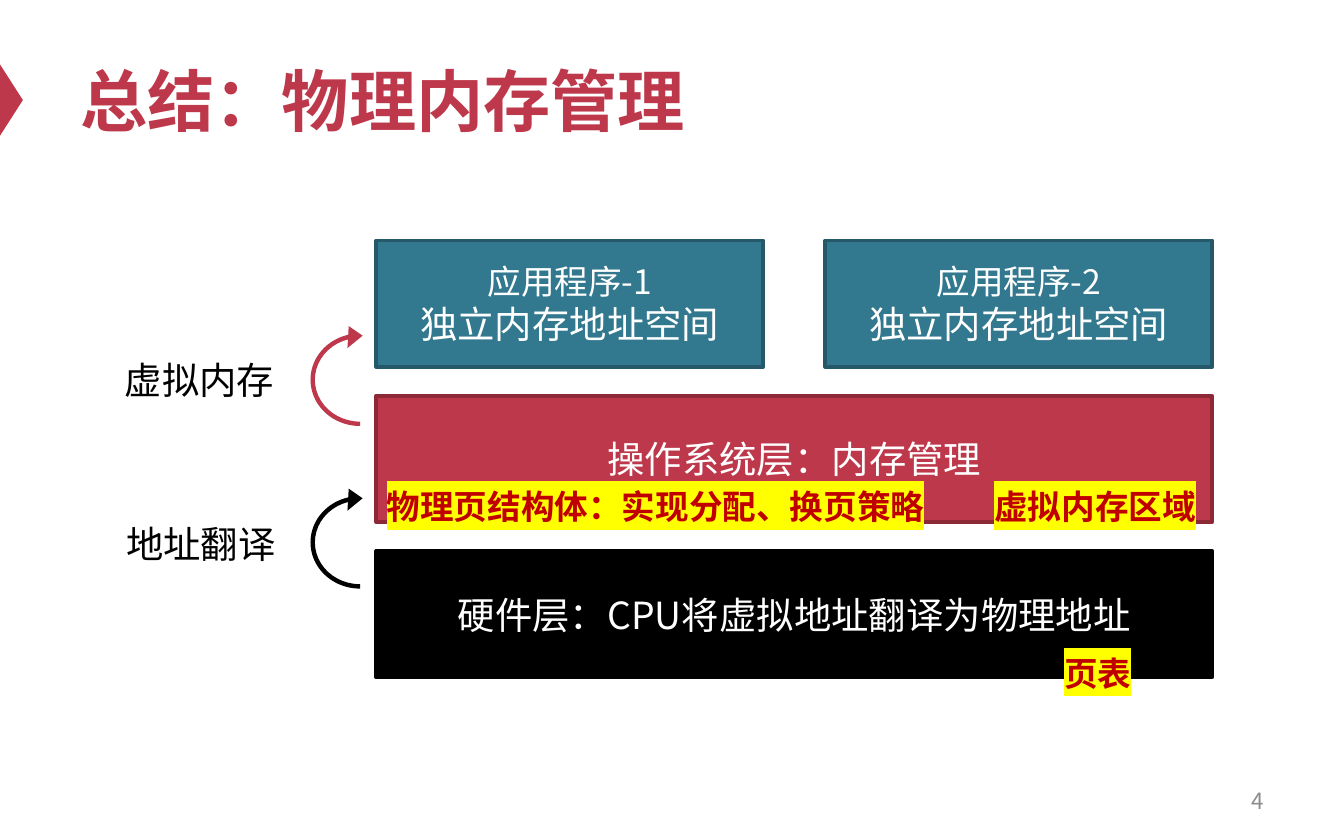
import pptx
import pptx.util
import pptx.dml.color
import pptx.enum.shapes
import pptx.enum.text
import pptx.oxml
import pptx.oxml.ns
from dataclasses import dataclass

SHAPE = pptx.enum.shapes.MSO_SHAPE
ALIGN = pptx.enum.text.PP_ALIGN
ANCHOR = pptx.enum.text.MSO_ANCHOR
FIT = pptx.enum.text.MSO_AUTO_SIZE


@dataclass(frozen=True)
class Theme:
    """Colours, fonts and type sizes of the slide."""
    red: str = "BE384B"
    wine: str = "8D2937"
    teal: str = "32788E"
    navy: str = "255969"
    black: str = "000000"
    white: str = "FFFFFF"
    gray: str = "8C8C8C"
    alert: str = "C00000"
    yellow: str = "FFFF00"
    latin: str = "Arial"
    han: str = "Noto Sans CJK SC"
    head: int = 36
    body: int = 20
    note: int = 18
    small: int = 12


THEME = Theme()
COLS, ROWS = 100, 62.5
CELL = pptx.util.Inches(0.1)
LEFT, WIDE, HALF, TALL = 28, 62.2, 28.8, 9.4
TOP, STEP = 17.9, 11.55


def grid(*cells):
    """Turn grid columns and rows into lengths."""
    return [round(cell * CELL) for cell in cells]


def tint(code):
    """Make a colour from its hex code."""
    return pptx.dml.color.RGBColor.from_string(code)


def add_run(para, text, size, color, face=THEME.latin, bold=False, mark=None):
    """Add one styled run, with a highlight if mark is given."""
    run = para.add_run()
    run.text = text
    font = run.font
    font.size, font.bold = pptx.util.Pt(size), bold
    font.color.rgb = tint(color)
    font.name = face
    props = run._r.get_or_add_rPr()
    space = pptx.oxml.ns.nsdecls("a")
    if mark:
        fill = props.find(pptx.oxml.ns.qn("a:solidFill"))
        fill.addnext(pptx.oxml.parse_xml(
            f'<a:highlight {space}><a:srgbClr val="{mark}"/></a:highlight>'))
    props.append(pptx.oxml.parse_xml(
        f'<a:ea {space} typeface="{THEME.han}"/>'))


def add_form(slide, kind, place, fill, edge=None):
    """Add a flat preset shape."""
    form = slide.shapes.add_shape(kind, *grid(*place))
    form.shadow.inherit = False
    form.fill.solid()
    form.fill.fore_color.rgb = tint(fill)
    if edge:
        form.line.color.rgb = tint(edge)
        form.line.width = pptx.util.Pt(2)
    else:
        form.line.fill.background()
    return form


def add_layer(slide, place, fill, edge, lines):
    """Add a box with centred lines of (text, size)."""
    frame = add_form(slide, SHAPE.RECTANGLE, place, fill, edge).text_frame
    frame.word_wrap = True
    frame.vertical_anchor = ANCHOR.MIDDLE
    para = frame.paragraphs[0]
    para.alignment = ALIGN.CENTER
    for index, (text, size) in enumerate(lines):
        if index:
            para.add_line_break()
        add_run(para, text, size, THEME.white, THEME.han)


def add_text(slide, place, text, size, color, align=ALIGN.LEFT, **style):
    """Add a wrapped text box centred on its height."""
    frame = slide.shapes.add_textbox(*grid(*place)).text_frame
    frame.word_wrap = True
    frame.vertical_anchor = ANCHOR.MIDDLE
    frame.paragraphs[0].alignment = align
    add_run(frame.paragraphs[0], text, size, color, **style)


def add_label(slide, place, text, size, color, **style):
    """Add a one-line label that grows with its text."""
    frame = slide.shapes.add_textbox(*grid(*place)).text_frame
    frame.word_wrap = False
    frame.auto_size = FIT.SHAPE_TO_FIT_TEXT
    add_run(frame.paragraphs[0], text, size, color, **style)


def add_turn(slide, top, color):
    """Add a round arrow that leads up to the next layer."""
    turn = add_form(slide, SHAPE.CIRCULAR_ARROW, (22.7, top, 8.2, 8.7), color)
    turn.rotation = 270
    for index, value in enumerate((0.04, 11.42, 206.56, 108, 0.1)):
        turn.adjustments[index] = value


def main():
    """Build and save the slide."""
    deck = pptx.Presentation()
    deck.slide_width, deck.slide_height = grid(COLS, ROWS)
    slide = deck.slides.add_slide(deck.slide_layouts[6])

    wedge = add_form(slide, SHAPE.ISOSCELES_TRIANGLE,
                     (-1.8, 6.6, 5.3, 1.7), THEME.red)
    wedge.rotation = 90
    add_text(slide, (5, 2.5, 90, 9.8), "总结：物理内存管理",
             THEME.head, THEME.red, bold=True)
    add_text(slide, (71.7, 57.9, 23.3, 3.3), "4", THEME.small, THEME.gray,
             ALIGN.RIGHT, face=THEME.han)

    layers = (("硬件层：CPU将虚拟地址翻译为物理地址", 2, THEME.black, THEME.black),
              ("操作系统层：内存管理", 1, THEME.red, THEME.wine))
    for text, row, fill, edge in layers:
        add_layer(slide, (LEFT, TOP + row * STEP, WIDE, TALL), fill, edge,
                  [(text, THEME.body)])
    for number, left in enumerate((LEFT, LEFT + WIDE - HALF), 1):
        add_layer(slide, (left, TOP, HALF, TALL), THEME.teal, THEME.navy,
                  [(f"应用程序-{number}", THEME.note),
                   ("独立内存地址空间", THEME.body)])

    steps = (("地址翻译", 8.4, 38.3, 36, THEME.black),
             ("虚拟内存", 8.3, 26.1, 23.9, THEME.red))
    for text, left, top, bend, color in steps:
        add_label(slide, (left, top, 13.2, 4.4), text,
                  THEME.body, THEME.black)
        add_turn(slide, bend, color)

    notes = (("页表", 78.2, 48.1, 7.1),
             ("虚拟内存区域", 73, 35.7, 17.2),
             ("物理页结构体：实现分配、换页策略", 27.8, 35.7, 42.4))
    for text, left, top, width in notes:
        add_label(slide, (left, top, width, 4), text, THEME.note,
                  THEME.alert, bold=True, mark=THEME.yellow)

    deck.save("out.pptx")


if __name__ == "__main__":
    main()
